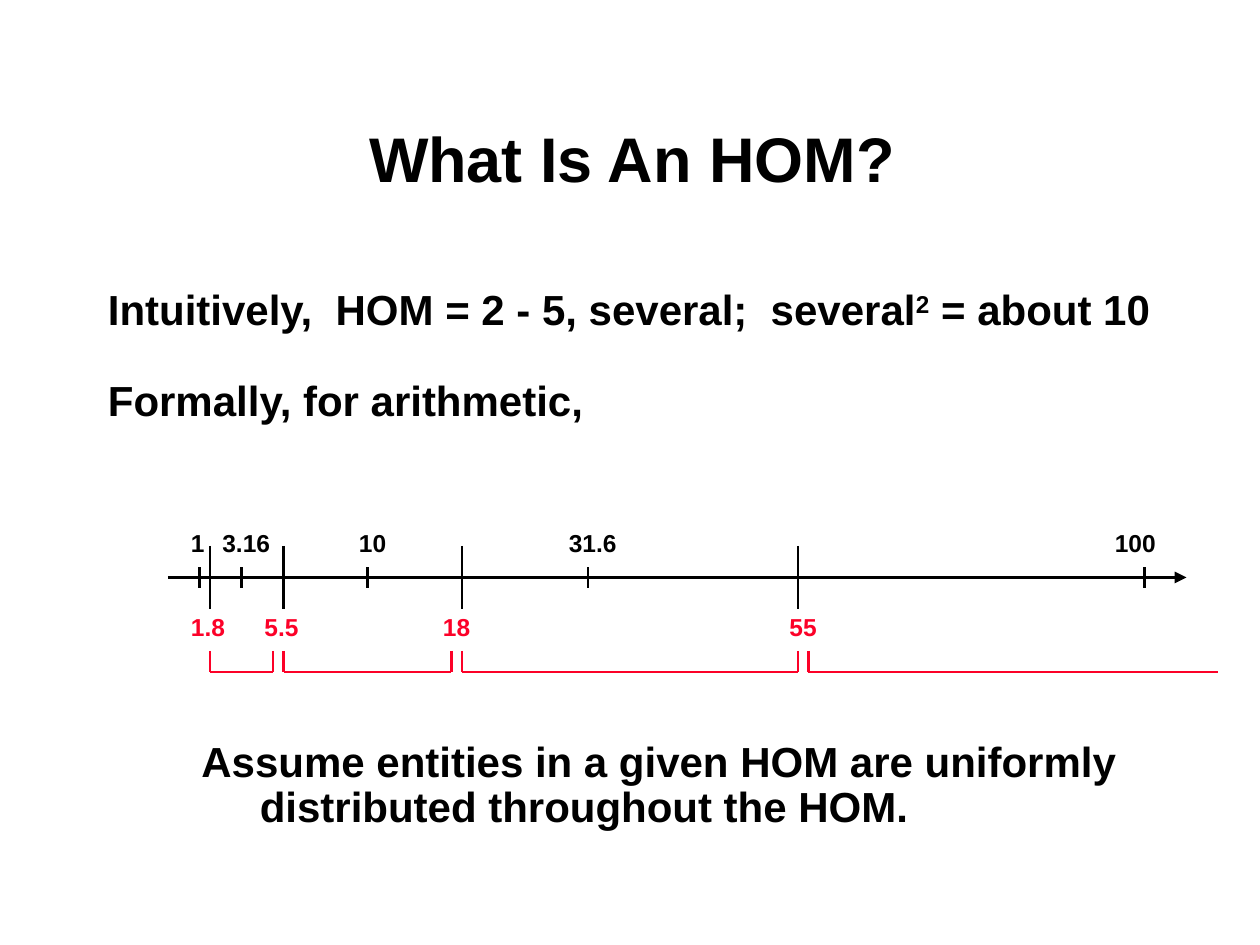
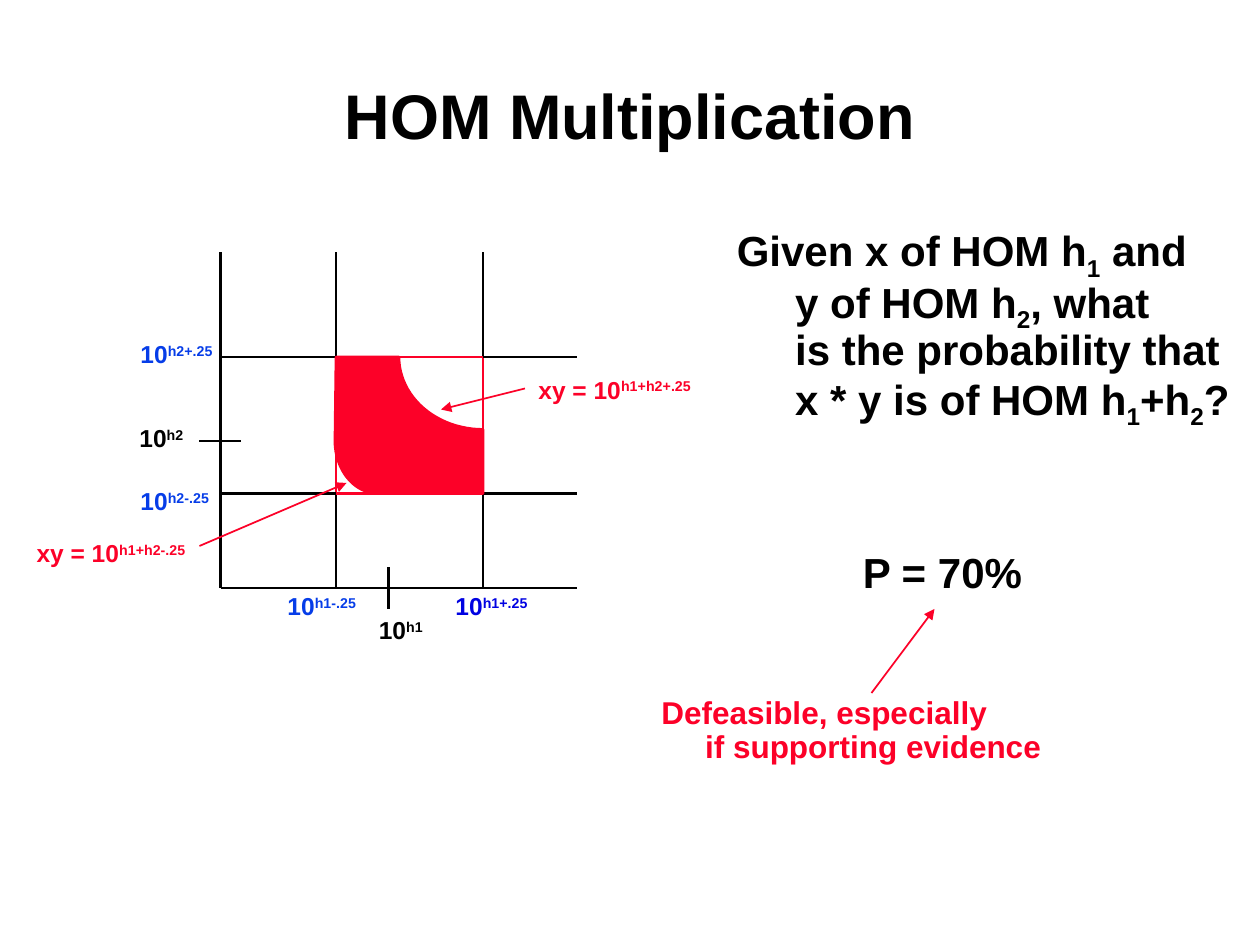
from dataclasses import dataclass
from itertools import pairwise
from math import cos, radians, sin

from lxml.etree import SubElement
from pptx import Presentation
from pptx.dml.color import RGBColor
from pptx.enum.shapes import MSO_CONNECTOR
from pptx.enum.text import MSO_ANCHOR, MSO_AUTO_SIZE, PP_ALIGN
from pptx.oxml.ns import qn
from pptx.util import Cm, Pt


@dataclass(frozen=True)
class Theme:
    font: str = "Arial"
    black: str = "000000"
    red: str = "FC0128"
    blue: str = "063DE8"
    deep_blue: str = "0002E2"
    title: int = 36
    body: int = 24
    note: int = 18
    label: int = 14
    axis: float = 2.25
    rule: float = 1.5
    pointer: float = 1


THEME = Theme()

# Places are counted in grid steps, twelve to the inch.
# A part that starts with ^ is raised, one that starts with _ is lowered.
INTUITION = [["Intuitively,  HOM = 2 - 5, several;  several", "^2", " = about 10"],
             ["Formally, for arithmetic,"]]
ASSUMPTION = [["Assume entities in a given HOM are uniformly"],
              ["distributed throughout the HOM."]]
MIDPOINTS = [("1", 19, 17), ("3.16", 23, 20), ("10", 35, 33),
             ("31.6", 56, 53), ("100", 109, 105)]  # label, tick, label left
BOUNDARIES = [("1.8", 20, 17), ("5.5", 27, 24), ("18", 44, 41), ("55", 76, 74)]
BRACKETS = [(20, 26), (27, 43), (44, 76)]
OPEN_BRACKET = (77, 116)

QUESTION = [["Given x of HOM h", "_1", " and"],
            ["y of HOM h", "_2", ", what"],
            ["is the probability that"],
            ["x * y is of HOM h", "_1", "+h", "_2", "?"]]
CAVEAT = [["Defeasible, especially"], ["if supporting evidence"]]
COLUMNS = [21, 32, 46, 55]
ROWS = [24, 34, 47, 56]
PLOT_LABELS = [  # parts, left, top, width, colour
    (["10", "^h1"], 34.9, 58.3, 7.2, THEME.black),
    (["10", "^h2"], 12.1, 40, 7.2, THEME.black),
    (["10", "^h1-.25"], 26.2, 56, 9.8, THEME.blue),
    (["10", "^h1+.25"], 42.2, 56, 9.8, THEME.deep_blue),
    (["10", "^h2-.25"], 12.2, 46, 9.8, THEME.blue),
    (["10", "^h2+.25"], 12.2, 32, 9.8, THEME.blue),
    (["xy = 10", "^h1+h2+.25"], 50.1, 35.4, 17.5, THEME.red),
    (["xy = 10", "^h1+h2-.25"], 2.3, 51, 17.5, THEME.red),
]
POINTERS = [((50, 37), (42, 39)), ((19, 52), (33, 46)), ((83, 66), (89, 58))]


def grid(steps):
    return Cm(steps * 2.54 / 12)


def style(paragraph, size, colour, spacing):
    paragraph.line_spacing = spacing
    font = paragraph.font
    font.name, font.size, font.bold = THEME.font, Pt(size), True
    font.color.rgb = RGBColor.from_string(colour)


def add_page(deck, title, left, top, width):
    page = deck.slides.add_slide(deck.slide_layouts[5])
    box = page.shapes.title
    box.left, box.top, box.width, box.height = map(grid, (left, top, width, 6.8))
    frame = box.text_frame
    frame.text = title
    frame.auto_size = MSO_AUTO_SIZE.NONE
    frame.word_wrap = True
    frame.vertical_anchor = MSO_ANCHOR.TOP
    frame.margin_left = frame.margin_right = Cm(0.18)
    frame.margin_top = frame.margin_bottom = Cm(0.08)
    para = frame.paragraphs[0]
    para.alignment = PP_ALIGN.CENTER
    style(para, THEME.title, THEME.black, 0.85)
    return page


def add_text(page, lines, left, top, width, size, colour=THEME.black,
             hanging=False, gap=0):
    """Write one paragraph per line; hanging indents every line but the first."""
    height = len(lines) * size * 0.18 + 1.2 + gap / 6
    box = page.shapes.add_textbox(*map(grid, (left, top, width, height)))
    frame = box.text_frame
    frame.word_wrap = True
    frame.auto_size = MSO_AUTO_SIZE.SHAPE_TO_FIT_TEXT
    for index, parts in enumerate(lines):
        para = frame.add_paragraph() if index else frame.paragraphs[0]
        if index and hanging:
            para._p.get_or_add_pPr().set("marL", str(Pt(size * 1.39)))
        if index and gap:
            para.space_before = Pt(gap)
        style(para, size, colour, 0.9)
        for part in parts:
            span = para.add_run()
            span.text = part.lstrip("^_")
            shift = {"^": "30000", "_": "-25000"}.get(part[0])
            if shift:
                span._r.get_or_add_rPr().set("baseline", shift)


def add_line(page, start, end, colour=THEME.black, weight=THEME.rule, arrow=False):
    line = page.shapes.add_connector(MSO_CONNECTOR.STRAIGHT,
                                     *map(grid, (*start, *end)))
    line.line.color.rgb = RGBColor.from_string(colour)
    line.line.width = Pt(weight)
    if arrow:
        SubElement(line.line._get_or_add_ln(), qn("a:tailEnd"), type="triangle")
    SubElement(line._element.spPr, qn("a:effectLst"))


def quarter_arc(centre, radii, start, end):
    """Points along an ellipse, with angles in degrees clockwise from the right."""
    steps = 24
    angles = [radians(start + (end - start) * i / steps) for i in range(steps + 1)]
    return [(centre[0] + radii[0] * cos(a), centre[1] + radii[1] * sin(a))
            for a in angles]


def add_region(page):
    """Fill the part of the cell where the product stays within its HOM."""
    _, left, right, _ = COLUMNS
    _, top, bottom, _ = ROWS
    points = [(left, top),
              *quarter_arc((right, top), (8, 6.9), 180, 90),
              (right, bottom),
              *quarter_arc((36, 42), (4.1, 5), 90, 180)]
    first, *others = [(grid(x), grid(y)) for x, y in points]
    builder = page.shapes.build_freeform(*first)
    builder.add_line_segments(others, close=True)
    region = builder.convert_to_shape()
    region.shadow.inherit = False
    region.fill.solid()
    region.fill.fore_color.rgb = RGBColor.from_string(THEME.red)
    region.line.color.rgb = RGBColor.from_string(THEME.red)
    region.line.width = Pt(THEME.rule)


def add_scale(page, marks, tick_top, tick_bottom, label_top, colour):
    for label, tick, left in marks:
        add_line(page, (tick, tick_top), (tick, tick_bottom))
        dots = label.count(".")
        width = 2.8 + 1.3 * (len(label) - dots) + 0.65 * dots
        add_text(page, [[label]], left, label_top, width, THEME.label, colour)


def build_definition(deck):
    page = add_page(deck, "What Is An HOM?", 34.2, 12.1, 52)
    add_line(page, (16, 55), (113, 55), weight=THEME.axis, arrow=True)
    add_scale(page, MIDPOINTS, 54, 56, 50, THEME.black)
    add_scale(page, BOUNDARIES, 52, 58, 58, THEME.red)
    for start, end in [*BRACKETS, OPEN_BRACKET]:
        add_line(page, (start, 64), (end, 64), THEME.red)
        for leg in (start, end):
            if leg != OPEN_BRACKET[1]:
                add_line(page, (leg, 62), (leg, 64), THEME.red)
    add_text(page, INTUITION, 9.1, 27, 103, THEME.body, gap=26)
    add_text(page, ASSUMPTION, 18, 70, 92, THEME.body, hanging=True)


def build_multiplication(deck):
    page = add_page(deck, "HOM Multiplication", 30, 8, 60)
    add_line(page, (COLUMNS[0], ROWS[0]), (COLUMNS[0], ROWS[-1]))
    add_line(page, (COLUMNS[0], ROWS[-1]), (COLUMNS[-1], ROWS[-1]))
    add_line(page, (19, 42), (23, 42))
    add_line(page, (37, 54), (37, 58))
    colours = (THEME.black, THEME.red, THEME.black)
    for x in COLUMNS[1:3]:
        for (top, bottom), colour in zip(pairwise(ROWS), colours):
            add_line(page, (x, top), (x, bottom), colour)
    for y in ROWS[1:3]:
        for (left, right), colour in zip(pairwise(COLUMNS), colours):
            add_line(page, (left, y), (right, y), colour)
    add_region(page)
    for parts, left, top, width, colour in PLOT_LABELS:
        add_text(page, [parts], left, top, width, THEME.label, colour)
    add_text(page, QUESTION, 69, 20.9, 50.4, THEME.body, hanging=True)
    add_text(page, [["P = 70%"]], 81, 52, 18.5, THEME.body)
    add_text(page, CAVEAT, 61.8, 65.8, 40.5, THEME.note, THEME.red, hanging=True)
    for start, end in POINTERS:
        add_line(page, start, end, THEME.red, THEME.pointer, arrow=True)


def main():
    deck = Presentation()
    deck.slide_width, deck.slide_height = Cm(25.4), Cm(19.05)
    build_definition(deck)
    build_multiplication(deck)
    deck.save("out.pptx")


if __name__ == "__main__":
    main()
